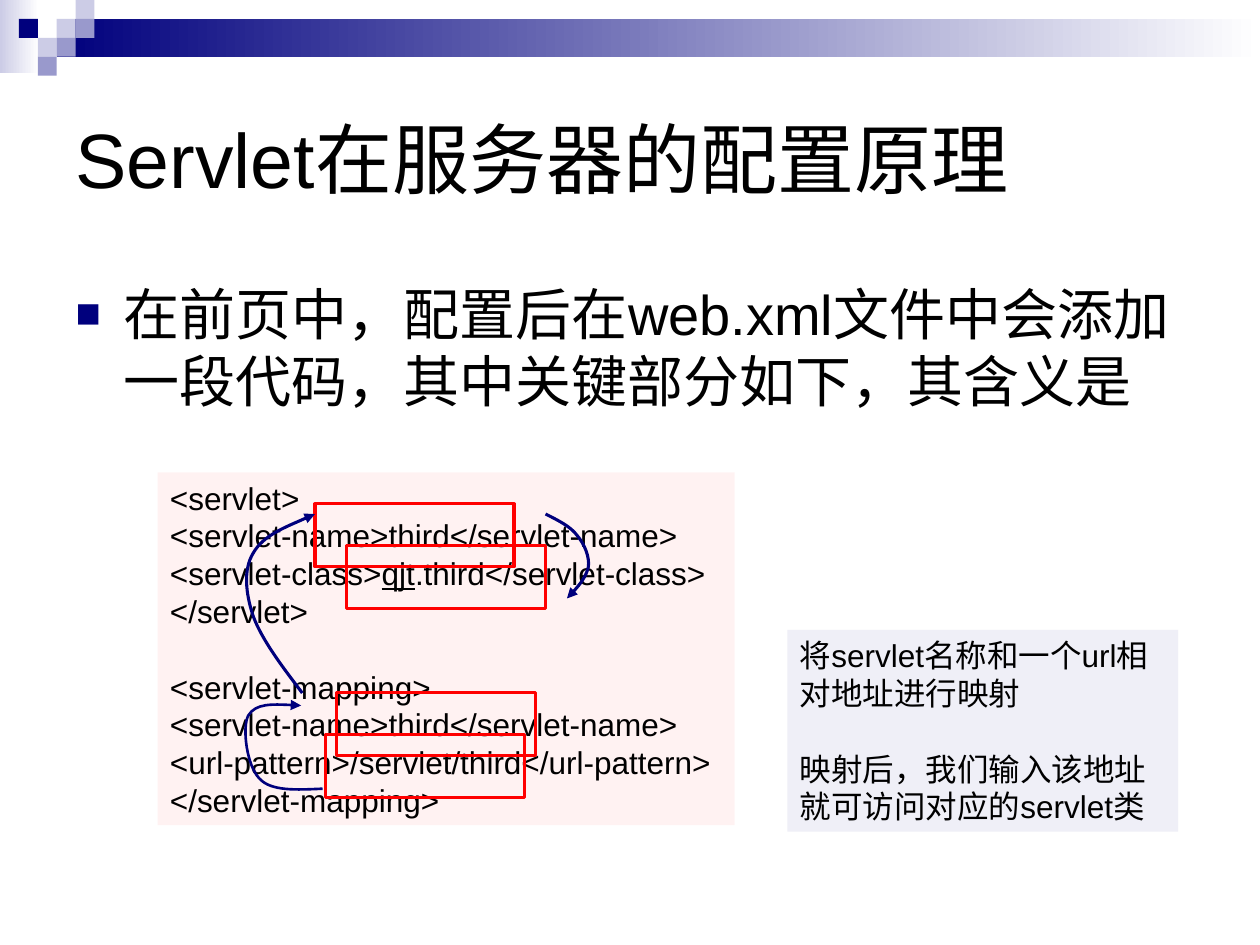
import dataclasses

import lxml.etree
import pptx
import pptx.dml.color
import pptx.enum.shapes
import pptx.enum.text
import pptx.oxml.ns
import pptx.util

Inches = pptx.util.Inches
Pt = pptx.util.Pt
qn = pptx.oxml.ns.qn
Color = pptx.dml.color.RGBColor.from_string


@dataclasses.dataclass(frozen=True)
class Theme:
    navy: str = "00007D"
    periwinkle: str = "9999CC"
    lavender: str = "CCCCE6"
    white: str = "FFFFFF"
    black: str = "000000"
    red: str = "FF0000"
    font: str = "Arial"
    title_size: float = 44
    body_size: float = 32
    box_size: float = 18
    line_height: float = 1.2


@dataclasses.dataclass(frozen=True)
class Box:
    left: float
    top: float
    width: float
    height: float

    def lengths(self) -> tuple:
        return tuple(Inches(value) for value in dataclasses.astuple(self))


@dataclasses.dataclass(frozen=True)
class TextLine:
    """One paragraph; an underlined part may sit inside it."""
    start: str
    underlined: str = ""
    end: str = ""
    gap_before: bool = False


@dataclasses.dataclass(frozen=True)
class Panel:
    box: Box
    color: str
    opacity: int
    lines: tuple


@dataclasses.dataclass(frozen=True)
class CurvedArrow:
    """A start point, then three Bezier points for each segment."""
    points: tuple
    width: float = 1.75


THEME = Theme()
CELL = 0.15

GRADIENT_BARS = (
    (Box(0, 0, 0.31, 0.58), THEME.lavender),
    (Box(0.45, CELL, 9.55, 0.3), THEME.navy),
)
# Mosaic squares: column, row, colour
MOSAIC = (
    (3, 1, THEME.lavender), (4, 0, THEME.lavender), (4, 1, THEME.periwinkle),
    (2, 2, THEME.lavender), (1, 1, THEME.navy), (3, 2, THEME.periwinkle),
    (2, 3, THEME.periwinkle),
)
CODE_PANEL = Panel(Box(1.25, 3.75, 4.58, 2.8), THEME.red, 5, (
    TextLine("<servlet>"),
    TextLine("<servlet-name>third</servlet-name>"),
    TextLine("<servlet-class>", "qjt", ".third</servlet-class>"),
    TextLine("</servlet>"),
    TextLine("<servlet-mapping>", gap_before=True),
    TextLine("<servlet-name>third</servlet-name>"),
    TextLine("<url-pattern>/servlet/third</url-pattern>"),
    TextLine("</servlet-mapping>"),
))
NOTE_PANEL = Panel(Box(6.25, 5, 3.1, 1.6), THEME.lavender, 31, (
    TextLine("将servlet名称和一个url相对地址进行映射"),
    TextLine("映射后，我们输入该地址就可访问对应的servlet类", gap_before=True),
))
HIGHLIGHTS = ((2.67, 5.5), (2.58, 5.83), (2.5, 4), (2.75, 4.33))
ARROWS = (
    # url-pattern to the mapped servlet-name
    CurvedArrow(((2.56, 6.26), (2.35, 6.27), (2.15, 6.28), (2.06, 6.18),
                 (1.96, 6.08), (1.92, 5.78), (1.97, 5.68),
                 (2.03, 5.58), (2.21, 5.59), (2.39, 5.6)), 1.5),
    # mapped servlet-name to the declared servlet-name
    CurvedArrow(((2.4, 5.5), (2.24, 5.29), (2.08, 5.08), (2.01, 4.89),
                 (1.95, 4.71), (1.93, 4.52), (2.01, 4.39),
                 (2.09, 4.25), (2.3, 4.17), (2.5, 4.08))),
    # declared servlet-name to the servlet-class
    CurvedArrow(((4.33, 4.08), (4.43, 4.13), (4.53, 4.18), (4.58, 4.25),
                 (4.64, 4.32), (4.68, 4.42), (4.67, 4.5),
                 (4.65, 4.58), (4.58, 4.67), (4.5, 4.75))),
)


def add_rectangle(slide, box: Box):
    shape = slide.shapes.add_shape(
        pptx.enum.shapes.MSO_SHAPE.RECTANGLE, *box.lengths())
    shape.shadow.inherit = False
    shape.line.fill.background()
    return shape


def fill_solid(shape, color: str, opacity: int = 100) -> None:
    shape.fill.solid()
    shape.fill.fore_color.rgb = Color(color)
    if opacity < 100:
        node = next(shape.element.iter(qn("a:srgbClr")))
        lxml.etree.SubElement(node, qn("a:alpha"), val=str(opacity * 1000))


def format_paragraph(paragraph, size: float, space_before: float = 0) -> None:
    paragraph.alignment = pptx.enum.text.PP_ALIGN.LEFT
    paragraph.line_spacing = Pt(size * THEME.line_height)
    paragraph.space_before = Pt(space_before)
    for run in paragraph.runs:
        run.font.name = THEME.font
        run.font.size = Pt(size)
        run.font.color.rgb = Color(THEME.black)


def fill_placeholder(shape, box: Box, text: str, size: float,
                     space_before: float = 0):
    shape.left, shape.top, shape.width, shape.height = box.lengths()
    shape.text_frame.text = text
    shape.text_frame.auto_size = pptx.enum.text.MSO_AUTO_SIZE.NONE
    paragraph = shape.text_frame.paragraphs[0]
    format_paragraph(paragraph, size, space_before)
    return paragraph


def add_square_bullet(paragraph) -> None:
    properties = paragraph._p.get_or_add_pPr()
    properties.set("marL", str(Inches(0.38)))
    properties.set("indent", str(Inches(-0.38)))
    color = lxml.etree.SubElement(properties, qn("a:buClr"))
    lxml.etree.SubElement(color, qn("a:srgbClr"), val=THEME.navy)
    lxml.etree.SubElement(properties, qn("a:buSzPct"), val="75000")
    lxml.etree.SubElement(properties, qn("a:buFont"), typeface=THEME.font)
    lxml.etree.SubElement(properties, qn("a:buChar"), char="■")


def add_banner(slide) -> None:
    for box, color in GRADIENT_BARS:
        bar = add_rectangle(slide, box)
        bar.fill.gradient()
        bar.fill.gradient_angle = 0
        for stop, stop_color in zip(bar.fill.gradient_stops, (color, THEME.white)):
            stop.color.rgb = Color(stop_color)
    for column, row, color in MOSAIC:
        fill_solid(add_rectangle(
            slide, Box(column * CELL, row * CELL, CELL, CELL)), color)


def add_panel(slide, panel: Panel) -> None:
    shape = add_rectangle(slide, panel.box)
    fill_solid(shape, panel.color, panel.opacity)
    frame = shape.text_frame
    frame.word_wrap = True
    frame.vertical_anchor = pptx.enum.text.MSO_ANCHOR.TOP
    for index, line in enumerate(panel.lines):
        paragraph = frame.add_paragraph() if index else frame.paragraphs[0]
        paragraph.text = line.start
        if line.underlined:
            for text, underline in ((line.underlined, True), (line.end, False)):
                run = paragraph.add_run()
                run.text = text
                run.font.underline = underline
        gap = THEME.box_size * THEME.line_height if line.gap_before else 0
        format_paragraph(paragraph, THEME.box_size, gap)


def add_highlight(slide, left: float, top: float) -> None:
    shape = add_rectangle(slide, Box(left, top, 1.58, 0.5))
    shape.fill.background()
    shape.line.color.rgb = Color(THEME.red)
    shape.line.width = Pt(1.75)


def add_curved_arrow(slide, arrow: CurvedArrow) -> None:
    points = [(Inches(x), Inches(y)) for x, y in arrow.points]
    builder = slide.shapes.build_freeform(*points[0])
    builder.add_line_segments(points[1:], close=False)
    shape = builder.convert_to_shape()
    shape.shadow.inherit = False
    shape.fill.background()
    shape.line.color.rgb = Color(THEME.navy)
    shape.line.width = Pt(arrow.width)
    # Turn every three line points into one cubic segment
    outline = next(shape.element.iter(qn("a:path")))
    segments = outline.findall(qn("a:lnTo"))
    for start in range(0, len(segments), 3):
        curve = lxml.etree.SubElement(outline, qn("a:cubicBezTo"))
        for segment in segments[start:start + 3]:
            curve.append(segment[0])
            outline.remove(segment)
    lxml.etree.SubElement(
        shape.line._get_or_add_ln(), qn("a:tailEnd"), type="triangle")


def main() -> None:
    presentation = pptx.Presentation()
    presentation.slide_width = Inches(10)
    presentation.slide_height = Inches(7.5)
    slide = presentation.slides.add_slide(presentation.slide_layouts[1])

    # Title and introduction
    fill_placeholder(slide.shapes.title, Box(0.5, 0.5, 9, 1.5),
                     "Servlet在服务器的配置原理", THEME.title_size)
    introduction = fill_placeholder(
        slide.placeholders[1], Box(0.5, 2.17, 9, 4.25),
        "在前页中，配置后在web.xml文件中会添加一段代码，其中关键部分如下，其含义是",
        THEME.body_size, 8)
    add_square_bullet(introduction)

    # Banner, code and explanation
    add_banner(slide)
    add_panel(slide, CODE_PANEL)
    add_panel(slide, NOTE_PANEL)

    # Matching names and the links between them
    for left, top in HIGHLIGHTS:
        add_highlight(slide, left, top)
    for arrow in ARROWS:
        add_curved_arrow(slide, arrow)

    presentation.save("out.pptx")


if __name__ == "__main__":
    main()
